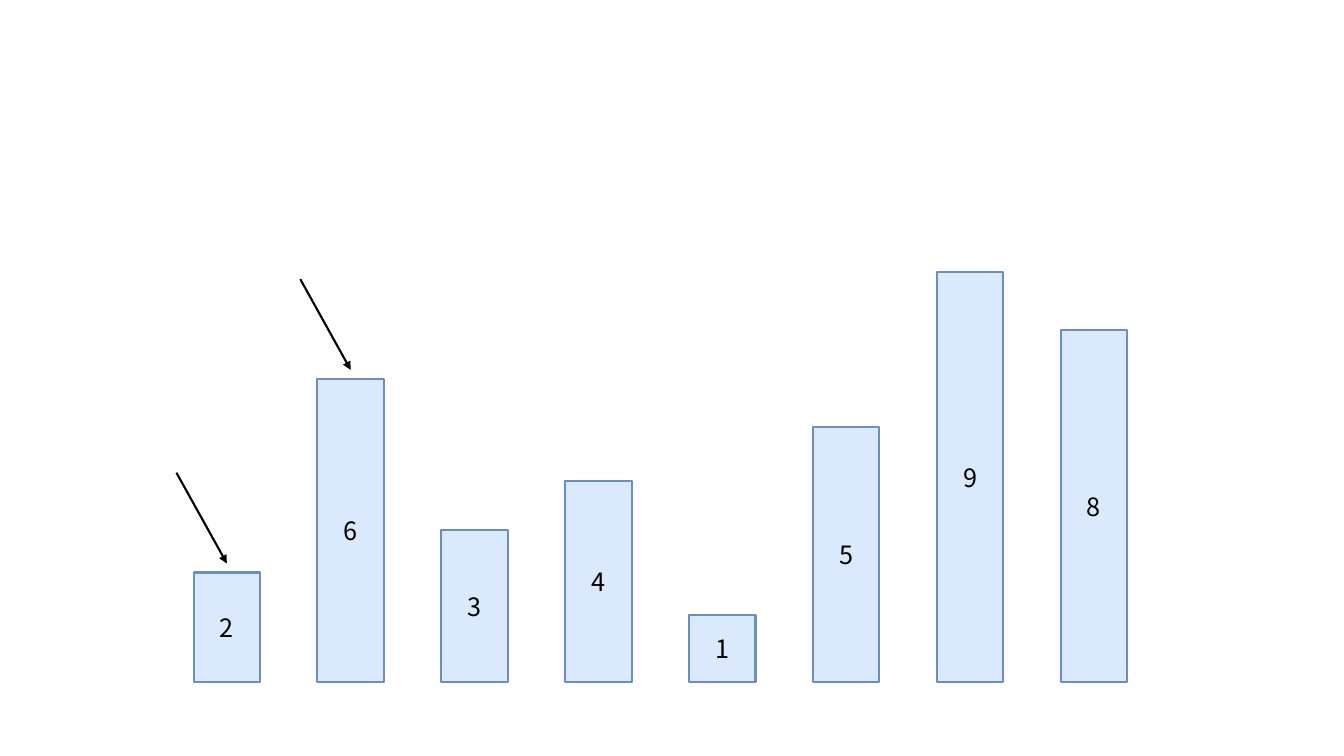
from lxml import etree
from pptx import Presentation
from pptx.dml.color import RGBColor
from pptx.enum.shapes import MSO_CONNECTOR, MSO_SHAPE
from pptx.enum.text import MSO_ANCHOR, PP_ALIGN
from pptx.oxml.ns import qn
from pptx.util import Inches, Pt

RECT = MSO_SHAPE.RECTANGLE
STRAIGHT = MSO_CONNECTOR.STRAIGHT
CENTER = PP_ALIGN.CENTER
MIDDLE = MSO_ANCHOR.MIDDLE

BLACK = RGBColor(0x00, 0x00, 0x00)
PALE = RGBColor(0xDB, 0xE9, 0xFD)
BLUE = RGBColor(0x6C, 0x8E, 0xBF)

# Value and height of each bar, left to right
BARS = [(2, 1.09), (6, 3.01), (3, 1.51), (4, 2.0),
        (1, 0.67), (5, 2.53), (9, 4.07), (8, 3.5)]
MARKED = (0, 1)  # bars that an arrow points at
LEFT, BASE, WIDTH = 1.92, 6.77, 0.66
STEP = 8.6 / (len(BARS) - 1)
GAP = 0.09  # from arrow tip to bar top
RUN, DROP = 0.5, 0.9  # extent of an arrow


def put_text(frame, text, font="Noto Sans CJK SC", size=18, color=BLACK,
             align=CENTER, anchor=MIDDLE):
    """Write one formatted line of text into a frame."""
    frame.word_wrap = True
    frame.vertical_anchor = anchor
    para = frame.paragraphs[0]
    para.alignment = align
    run = para.add_run()
    run.text = text
    run.font.name = font
    run.font.size = Pt(size)
    run.font.color.rgb = color


class Canvas:
    """Holds the style and the current slide."""

    def __init__(self, slide, fill=PALE, edge=BLUE, ink=BLACK, weight=1.5):
        """Keep the slide, its colours and its line width."""
        self.slide = slide
        self.fill = fill
        self.edge = edge
        self.ink = ink
        self.weight = Pt(weight)

    def bar(self, left, top, width, height, text):
        """Draw a labelled bar."""
        box = self.slide.shapes.add_shape(
            RECT, Inches(left), Inches(top), Inches(width), Inches(height))
        box.shadow.inherit = False
        box.fill.solid()
        box.fill.fore_color.rgb = self.fill
        box.line.color.rgb = self.edge
        box.line.width = self.weight
        put_text(box.text_frame, text, color=self.ink)

    def arrow(self, x, y, run, drop):
        """Draw an arrow that comes from the upper left to (x, y)."""
        link = self.slide.shapes.add_connector(
            STRAIGHT, Inches(x - run), Inches(y - drop), Inches(x), Inches(y))
        link.line.color.rgb = self.ink
        link.line.width = self.weight
        props = link.element.spPr
        etree.SubElement(props.find(qn("a:ln")), qn("a:tailEnd"),
                         type="triangle")
        etree.SubElement(props, qn("a:effectLst"))


def main():
    """Build the bar row with its two arrows and save it."""
    deck = Presentation()
    deck.slide_width = Inches(13.33)
    deck.slide_height = Inches(7.5)
    canvas = Canvas(deck.slides.add_slide(deck.slide_layouts[6]))

    for i, (value, height) in enumerate(BARS):
        canvas.bar(LEFT + i * STEP, BASE - height, WIDTH, height, str(value))
    for i in MARKED:
        center = LEFT + i * STEP + WIDTH / 2
        canvas.arrow(center, BASE - BARS[i][1] - GAP, RUN, DROP)

    deck.save("out.pptx")


main()
